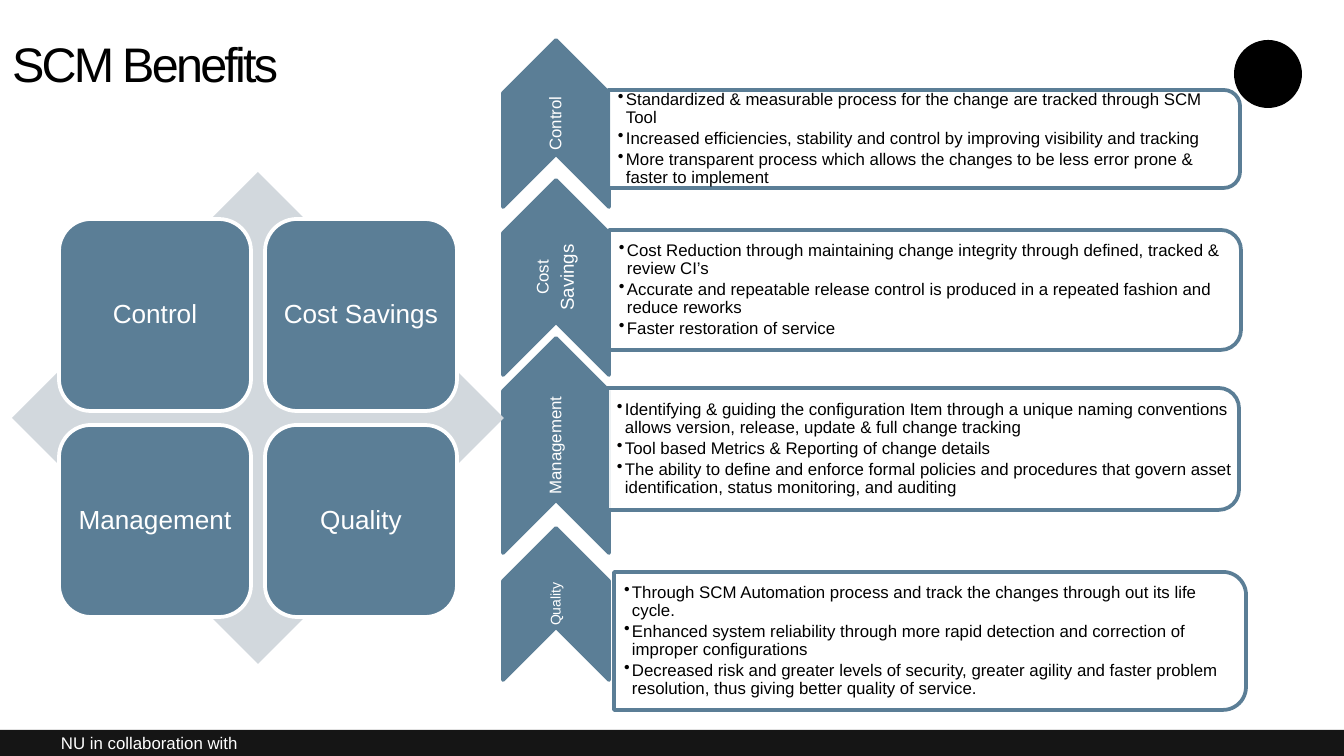
"""Build the SCM Benefits slide: a four-card matrix beside a column of chevrons and bullet panels."""
import lxml.etree
import pptx
import pptx.dml.color
import pptx.enum.shapes
import pptx.enum.text
import pptx.oxml.ns
import pptx.util

SHAPE = pptx.enum.shapes.MSO_SHAPE
ALIGN = pptx.enum.text.PP_ALIGN
ANCHOR = pptx.enum.text.MSO_ANCHOR
BLUE, WHITE, BLACK, GREY, DARK = "5B7E96", "FFFFFF", "000000", "D2D8DD", "151515"
EMU_PER_PX = 914400 / 134.4

TITLE = "SCM Benefits"
FOOTER = "NU in collaboration with"
CARDS = ["Control", "Cost Savings", "Management", "Quality"]
BENEFITS = [
    {"label": [("Control", 9)], "chevron": (40, 167), "panel": (608, 90, 98), "points": [
        "Standardized & measurable process for the change are tracked through SCM Tool",
        "Increased efficiencies, stability and control by improving\u00a0visibility and tracking",
        "More transparent process which allows the changes to be less error prone & faster to implement"]},
    {"label": [("Cost", 9), ("Savings", 10)], "chevron": (180, 195), "panel": (609, 230, 120), "points": [
        "Cost Reduction through maintaining change integrity through defined, tracked & review CI’s",
        "Accurate and repeatable release control is produced in a repeated fashion and reduce reworks",
        "Faster restoration of service"]},
    {"label": [("Management", 9)], "chevron": (338, 215), "panel": (607, 388, 122), "points": [
        "Identifying & guiding the configuration Item through a unique naming conventions "
        "allows version, release, update & full change tracking",
        "Tool based Metrics & Reporting of change details",
        "The ability to define and enforce formal policies and procedures that govern asset "
        "identification, status monitoring, and auditing"]},
    {"label": [("Quality", 7.5)], "chevron": (528, 152), "panel": (614, 572, 138), "points": [
        "Through SCM Automation process and track the changes through out its life cycle.",
        "Enhanced system reliability through more rapid detection and correction of improper configurations",
        "Decreased risk and greater levels of security, greater agility and faster problem "
        "resolution, thus giving better quality of service."]},
]
CHEVRON_X, CHEVRON_W, PANEL_W = 502, 106, 632
CARD_X, CARD_Y, CARD_SIZE, CARD_STEP = 59, 219, 192, 206


def px(n):
    return pptx.util.Emu(round(n * EMU_PER_PX))


def rgb(color):
    return pptx.dml.color.RGBColor.from_string(color)


def sub(parent, tag, **attrs):
    return lxml.etree.SubElement(parent, pptx.oxml.ns.qn(tag), attrs)


def apply(obj, **formats):
    for name, value in formats.items():
        setattr(obj, name, value)


def add_shape(slide, kind, x, y, w, h, fill, line=None, turn=0):
    """Add a shape whose visible box is x, y, w, h even after a quarter turn."""
    if turn:
        x, y, w, h = x + (w - h) / 2, y + (h - w) / 2, h, w
    sp = slide.shapes.add_shape(kind, px(x), px(y), px(w), px(h))
    apply(sp, rotation=turn)
    sp.shadow.inherit = False
    sp.fill.solid()
    sp.fill.fore_color.rgb = rgb(fill)
    if line:
        sp.line.color.rgb = rgb(line)
        sp.line.width = pptx.util.Pt(2)
    else:
        sp.line.fill.background()
    return sp


def write(sp, lines, color, inset=(0, 0, 0, 0), wrap=True, anchor=ANCHOR.MIDDLE, **para):
    """Fill a shape with (text, size) paragraphs."""
    tf = sp.text_frame
    left, top, right, bottom = map(px, inset)
    apply(tf, margin_left=left, margin_top=top, margin_right=right, margin_bottom=bottom,
          word_wrap=wrap, vertical_anchor=anchor)
    for i, (text, size) in enumerate(lines):
        p = tf.add_paragraph() if i else tf.paragraphs[0]
        apply(p, **para)
        r = p.add_run()
        r.text = text
        apply(r.font, name="Arial", size=pptx.util.Pt(size), bold=False)
        r.font.color.rgb = rgb(color)
    return tf


def add_benefit(slide, benefit):
    """Add one chevron with its bullet panel."""
    top, height = benefit["chevron"]
    sp = add_shape(slide, SHAPE.CHEVRON, CHEVRON_X + 1, top, CHEVRON_W, height, BLUE, BLUE, turn=270)
    write(sp, benefit["label"], WHITE, (1, 1, 1, 1), wrap=False, alignment=ALIGN.CENTER,
          line_spacing=0.9, space_after=pptx.util.Pt(3))

    x, y, h = benefit["panel"]
    sp = add_shape(slide, SHAPE.ROUND_2_SAME_RECTANGLE, x, y, PANEL_W, h, WHITE, BLUE, turn=90)
    sub(sp.fill._xPr.find(".//" + pptx.oxml.ns.qn("a:srgbClr")), "a:alpha", val="90000")
    box = slide.shapes.add_textbox(px(x + 1), px(y + 5), px(PANEL_W - 6), px(h - 10))
    tf = write(box, [(text, 9) for text in benefit["points"]], BLACK, (9, 1, 1, 1),
               line_spacing=0.9, space_after=pptx.util.Pt(1.35))
    for p in tf.paragraphs:
        pPr = p._p.get_or_add_pPr()
        pPr.set("marL", str(px(8)))
        pPr.set("indent", str(-px(8)))
        sub(pPr, "a:buChar", char="•")


def add_matrix(slide):
    """Add the diamond and its two-by-two cards."""
    add_shape(slide, SHAPE.DIAMOND, 12, 172, 492, 492, GREY)
    for i, name in enumerate(CARDS):
        row, col = divmod(i, 2)
        sp = add_shape(slide, SHAPE.ROUNDED_RECTANGLE, CARD_X + col * CARD_STEP,
                       CARD_Y + row * CARD_STEP, CARD_SIZE, CARD_SIZE, BLUE, WHITE)
        write(sp, [(name, 14)], WHITE, (8, 8, 8, 8), alignment=ALIGN.CENTER, line_spacing=0.9)


def main():
    prs = pptx.Presentation()
    apply(prs, slide_width=px(1344), slide_height=px(756))
    slide = prs.slides.add_slide(prs.slide_layouts[5])

    add_shape(slide, SHAPE.RECTANGLE, 0, 730, 1344, 26, DARK)
    add_shape(slide, SHAPE.OVAL, 1234, 40, 68, 68, BLACK)
    footer = slide.shapes.add_textbox(px(61), px(730), px(926), px(26))
    write(footer, [(FOOTER, 9)], WHITE)

    title = slide.shapes.title
    apply(title, left=px(12), top=px(34), width=px(1146), height=px(82))
    tf = write(title, [(TITLE, 26)], BLACK, anchor=ANCHOR.TOP, alignment=ALIGN.LEFT)
    tf.paragraphs[0].runs[0].font._rPr.set("spc", "-150")

    for benefit in BENEFITS:
        add_benefit(slide, benefit)
    add_matrix(slide)
    prs.save("out.pptx")


if __name__ == "__main__":
    main()
